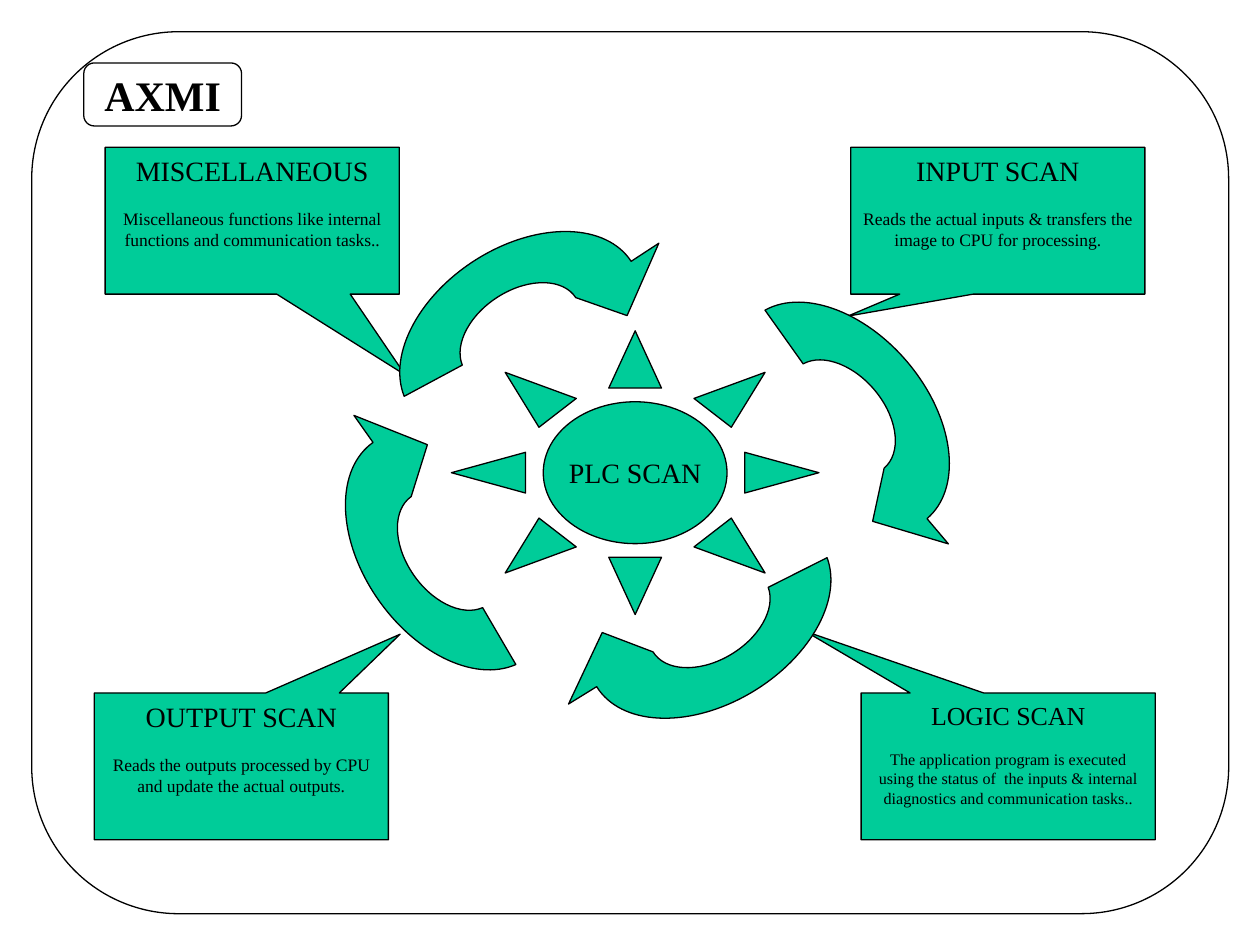
from dataclasses import dataclass
from math import cos, radians, sin, tan

from lxml.etree import SubElement
from pptx import Presentation
from pptx.dml.color import RGBColor
from pptx.enum.shapes import MSO_SHAPE
from pptx.enum.text import MSO_ANCHOR, PP_ALIGN
from pptx.oxml.ns import qn
from pptx.shapes.autoshape import Shape
from pptx.shapes.shapetree import SlideShapes
from pptx.text.text import _Paragraph
from pptx.util import Cm, Pt

WHITE = RGBColor(0xFF, 0xFF, 0xFF)
BLACK = RGBColor(0x00, 0x00, 0x00)
GREEN = RGBColor(0x00, 0xCC, 0x99)
FONT = "Times New Roman"

CALLOUT_WIDTH, CALLOUT_HEIGHT = 5.93, 2.96
# Outer half axes of a cycle arrow; the inner edge lies at half of them
ARROW_RX, ARROW_RY = 2.67, 1.74
TAIL_ANGLE, NECK_ANGLE = 187.5, 360

Point = tuple[float, float]


@dataclass(frozen=True)
class ScanStep:
    title: str
    detail: str
    left: float
    top: float
    pointer: Point
    title_size: float = 16
    detail_size: float = 10


@dataclass(frozen=True)
class CycleArrow:
    center_x: float
    center_y: float
    rotation: float


SCAN_STEPS = [
    ScanStep("INPUT SCAN",
             "Reads the actual inputs & transfers the image to CPU for processing.",
             17.15, 2.97, (-0.51, 0.65)),
    ScanStep("MISCELLANEOUS",
             "Miscellaneous functions like internal functions and communication tasks..",
             2.12, 2.97, (0.52, 1.05)),
    ScanStep("LOGIC SCAN",
             "The application program is executed using the status of  the inputs "
             "& internal diagnostics and communication tasks..",
             17.36, 13.97, (-0.69, -0.92), 14.8, 9.2),
    ScanStep("OUTPUT SCAN",
             "Reads the outputs processed by CPU and update the actual outputs.",
             1.9, 13.97, (0.54, -0.9)),
]

CYCLE_ARROWS = [
    CycleArrow(16.96, 8.42, 49.7),
    CycleArrow(14.3, 12.44, 148.3),
    CycleArrow(9.06, 11.1, 234.8),
    CycleArrow(10.49, 6.73, 326.8),
]


def paint(shape: Shape, fill: RGBColor) -> None:
    shape.shadow.inherit = False
    shape.fill.solid()
    shape.fill.fore_color.rgb = fill
    shape.line.color.rgb = BLACK
    shape.line.width = Pt(0.75)


def add_preset(shapes: SlideShapes, preset: MSO_SHAPE, left: float, top: float,
               width: float, height: float, fill: RGBColor) -> Shape:
    shape = shapes.add_shape(preset, Cm(left), Cm(top), Cm(width), Cm(height))
    paint(shape, fill)
    return shape


def format_paragraph(paragraph: _Paragraph, size: float, bold: bool = False) -> None:
    paragraph.alignment = PP_ALIGN.CENTER
    for run in paragraph.runs:
        run.font.name = FONT
        run.font.size = Pt(size)
        run.font.bold = bold
        run.font.color.rgb = BLACK


def add_label(shape: Shape, label: str, size: float, bold: bool = False) -> None:
    frame = shape.text_frame
    frame.text = label
    frame.word_wrap = False
    frame.vertical_anchor = MSO_ANCHOR.MIDDLE
    format_paragraph(frame.paragraphs[0], size, bold)


def add_scan_step(shapes: SlideShapes, step: ScanStep) -> None:
    callout = add_preset(shapes, MSO_SHAPE.RECTANGULAR_CALLOUT, step.left, step.top,
                         CALLOUT_WIDTH, CALLOUT_HEIGHT, GREEN)
    callout.adjustments[0], callout.adjustments[1] = step.pointer
    frame = callout.text_frame
    frame.word_wrap = True
    frame.vertical_anchor = MSO_ANCHOR.TOP
    frame.text = step.title
    format_paragraph(frame.paragraphs[0], step.title_size)
    detail = frame.add_paragraph()
    detail.text = step.detail
    detail.space_before = Pt(round(step.detail_size * 1.2, 1))
    format_paragraph(detail, step.detail_size)


def outer_edge() -> list[Point]:
    """Two Bezier curves along the ellipse: start, then control, control, end twice."""
    sweep = radians(NECK_ANGLE - TAIL_ANGLE) / 2
    reach = 4 / 3 * tan(sweep / 4)

    def along(angle: float, tangent: float) -> Point:
        return (ARROW_RX * (cos(angle) - tangent * sin(angle)),
                ARROW_RY * (sin(angle) + tangent * cos(angle)))

    start = radians(TAIL_ANGLE)
    points = [along(start, 0)]
    for angle in (start, start + sweep):
        end = angle + sweep
        points += [along(angle, reach), along(end, -reach), along(end, 0)]
    return points


def add_cycle_arrow(shapes: SlideShapes, arrow: CycleArrow) -> None:
    outer = outer_edge()
    inner = [(x / 2, y / 2) for x, y in reversed(outer)]
    head = [(ARROW_RX * 1.25, 0), (ARROW_RX * 0.75, ARROW_RY / 2)]
    start, *rest = [(Cm(x), Cm(y)) for x, y in outer + head + inner]
    builder = shapes.build_freeform(*start)
    builder.add_line_segments(rest, close=True)
    shape = builder.convert_to_shape()
    paint(shape, GREEN)

    # Let the outline's box be that of the whole ellipse
    outline = next(shape.element.iter(qn("a:path")))
    for point in outline.iter(qn("a:pt")):
        point.set("x", str(int(point.get("x")) + shape.left + Cm(ARROW_RX)))
        point.set("y", str(int(point.get("y")) + shape.top + Cm(ARROW_RY)))
    shape.width, shape.height = Cm(2 * ARROW_RX), Cm(2 * ARROW_RY)
    outline.set("w", str(shape.width))
    outline.set("h", str(shape.height))
    shape.left = Cm(arrow.center_x - ARROW_RX)
    shape.top = Cm(arrow.center_y - ARROW_RY)
    shape.rotation = arrow.rotation

    # Join each three points along both edges into one curve
    segments = outline.findall(qn("a:lnTo"))
    inner_start = len(outer) + len(head)
    for first in (0, 3, inner_start, inner_start + 3):
        curve = SubElement(outline, qn("a:cubicBezTo"))
        segments[first].addprevious(curve)
        for segment in segments[first:first + 3]:
            curve.append(segment[0])
            outline.remove(segment)


def main() -> None:
    presentation = Presentation()
    presentation.slide_width, presentation.slide_height = Cm(25.4), Cm(19.05)
    slide = presentation.slides.add_slide(presentation.slide_layouts[6])
    shapes = slide.shapes

    # Frame and company tag
    add_preset(shapes, MSO_SHAPE.FLOWCHART_ALTERNATE_PROCESS,
               0.64, 0.64, 24.13, 17.78, WHITE)
    company = add_preset(shapes, MSO_SHAPE.FLOWCHART_ALTERNATE_PROCESS,
                         1.69, 1.27, 3.18, 1.27, WHITE)
    add_label(company, "AXMI", 24, bold=True)

    # Centre of the cycle
    plc_scan = add_preset(shapes, MSO_SHAPE.SUN, 9.1, 6.67, 7.41, 5.72, GREEN)
    add_label(plc_scan, "PLC SCAN", 16)

    # Explanations and the arrows between them
    for step in SCAN_STEPS:
        add_scan_step(shapes, step)
    for arrow in CYCLE_ARROWS:
        add_cycle_arrow(shapes, arrow)

    presentation.save("out.pptx")


if __name__ == "__main__":
    main()
